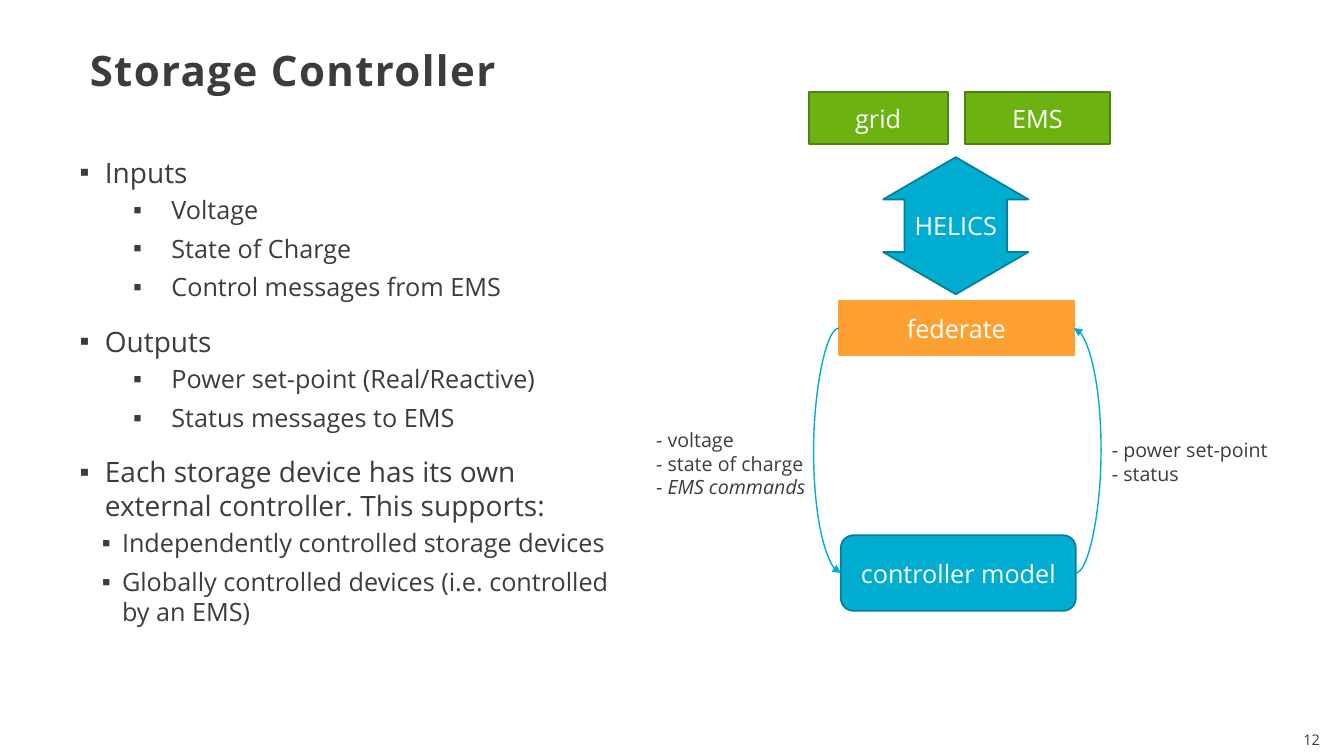
import pptx
import pptx.util
import pptx.dml.color
import pptx.enum.shapes
import pptx.enum.text
import pptx.oxml
import pptx.oxml.ns

Inches = pptx.util.Inches
Pt = pptx.util.Pt
SHAPE = pptx.enum.shapes.MSO_SHAPE
ALIGN = pptx.enum.text.PP_ALIGN
ANCHOR = pptx.enum.text.MSO_ANCHOR

COLORS = {
    "text": "3C3C3C",
    "white": "FFFFFF",
    "blue": "00ADD0",
    "blue_edge": "00809A",
    "orange": "FFA033",
    "green": "6CB312",
    "grid_edge": "50840D",
    "ems_edge": "4D830A",
}

LEFT_SITE, RIGHT_SITE = 1, 3

# Bullet styles: size, left indent, hanging indent, space before and after, level
TOP = (20, 0.25, 0.25, 12, 2, 0)
DETAIL = (18, 0.91, 0.38, 2, 4, 1)
SUPPORT = (18, 0.42, 0.2, 2, 4, 1)

BULLETS = [
    ("Inputs", TOP),
    ("Voltage", DETAIL),
    ("State of Charge", DETAIL),
    ("Control messages from EMS", DETAIL),
    ("Outputs", TOP),
    ("Power set-point (Real/Reactive)", DETAIL),
    ("Status messages to EMS", DETAIL),
    ("Each storage device has its own external controller. This supports:", TOP),
    ("Independently controlled storage devices", SUPPORT),
    ("Globally controlled devices (i.e. controlled by an EMS)", SUPPORT),
]


def rgb(name):
    return pptx.dml.color.RGBColor.from_string(COLORS[name])


def apply(target, values):
    for name, value in values.items():
        setattr(target, name, value)


def add_xml(parent, tag, **attributes):
    child = parent.makeelement(pptx.oxml.ns.qn(tag), attributes)
    parent.append(child)
    return child


def set_guides(sp, **ratios):
    """Write the adjustment values of a preset outline by name."""
    guides = sp._element.spPr.find(".//" + pptx.oxml.ns.qn("a:avLst"))
    for guide in list(guides):
        guides.remove(guide)
    for name, ratio in ratios.items():
        add_xml(guides, "a:gd", name=name, fmla=f"val {round(ratio * 100000)}")


class SlideBuilder:
    font = "Open Sans"

    def __init__(self, prs):
        self.slide = prs.slides.add_slide(prs.slide_layouts[5])
        self.shapes = self.slide.shapes

    def run(self, p, text, size, color="text", **font):
        r = p.add_run()
        r.text = text
        apply(r.font, {"name": self.font, "size": Pt(size), **font})
        r.font.color.rgb = rgb(color)
        return r

    def title(self, text, box):
        sp = self.shapes.title
        apply(sp, dict(zip(("left", "top", "width", "height"), map(Inches, box))))
        tf = sp.text_frame
        apply(tf, {"vertical_anchor": ANCHOR.MIDDLE, "word_wrap": True,
                   "auto_size": pptx.enum.text.MSO_AUTO_SIZE.NONE})
        p = tf.paragraphs[0]
        apply(p, {"alignment": ALIGN.LEFT, "line_spacing": 0.85})
        r = self.run(p, text, 30, bold=True)
        r.font._element.set("spc", "100")

    def text_box(self, box, lines, size, align=ALIGN.LEFT):
        """Each line is a list of (text, italic) pairs."""
        tf = self.shapes.add_textbox(*map(Inches, box)).text_frame
        tf.word_wrap = True
        for i, line in enumerate(lines):
            p = tf.add_paragraph() if i else tf.paragraphs[0]
            p.alignment = align
            for text, italic in line:
                self.run(p, text, size, italic=italic)

    def bullets(self, box, items):
        tf = self.shapes.add_textbox(*map(Inches, box)).text_frame
        apply(tf, {"word_wrap": True, "margin_left": 0, "margin_right": 0})
        for i, (text, style) in enumerate(items):
            size, indent, hanging, before, after, level = style
            p = tf.add_paragraph() if i else tf.paragraphs[0]
            apply(p, {"level": level, "space_before": Pt(before),
                      "space_after": Pt(after)})
            pPr = p._p.get_or_add_pPr()
            pPr.set("marL", str(Inches(indent)))
            pPr.set("indent", str(-Inches(hanging)))
            add_xml(pPr, "a:buFont", typeface="Arial")
            add_xml(pPr, "a:buChar", char="▪")
            self.run(p, text, size)

    def block(self, kind, box, text, fill, edge):
        sp = self.shapes.add_shape(kind, *map(Inches, box))
        sp.shadow.inherit = False
        sp.fill.solid()
        sp.fill.fore_color.rgb = rgb(fill)
        sp.line.color.rgb = rgb(edge)
        sp.line.width = Pt(1.25)
        tf = sp.text_frame
        apply(tf, {"vertical_anchor": ANCHOR.MIDDLE, "word_wrap": True,
                   "margin_left": 0, "margin_right": 0})
        p = tf.paragraphs[0]
        p.alignment = ALIGN.CENTER
        self.run(p, text, 18, "white")
        return sp

    def curve(self, start, end, site, bulge=0.25):
        """Join the same side of two blocks with an arrow that bows outward."""
        cxn = self.shapes.add_connector(
            pptx.enum.shapes.MSO_CONNECTOR.CURVE, 0, 0, 0, 0)
        cxn.begin_connect(start, site)
        cxn.end_connect(end, site)
        cxn.line.color.rgb = rgb("blue")
        cxn.line.width = Pt(1)
        spPr = cxn._element.spPr
        add_xml(spPr.find(pptx.oxml.ns.qn("a:ln")), "a:tailEnd", type="triangle")
        add_xml(spPr, "a:effectLst")
        set_guides(cxn, adj1=-Inches(bulge) / cxn.width)


def main():
    prs = pptx.Presentation()
    prs.slide_width, prs.slide_height = Inches(13.33), Inches(7.5)
    s = SlideBuilder(prs)

    s.title("Storage Controller", (0.79, 0.49, 10.89, 0.49))
    s.bullets((0.79, 1.49, 5.45, 5.14), BULLETS)

    model = s.block(SHAPE.ROUNDED_RECTANGLE, (8.34, 5.31, 2.33, 0.75),
                    "controller model", "blue", "blue_edge")
    federate = s.block(SHAPE.RECTANGLE, (8.32, 2.99, 2.33, 0.53),
                       "federate", "orange", "orange")
    helics = s.block(SHAPE.UP_DOWN_ARROW, (8.76, 1.56, 1.44, 1.36),
                     "HELICS", "blue", "blue_edge")
    set_guides(helics, adj1=0.707, adj2=0.308)
    s.block(SHAPE.RECTANGLE, (8.02, 0.91, 1.38, 0.52), "grid", "green", "grid_edge")
    s.block(SHAPE.RECTANGLE, (9.57, 0.91, 1.44, 0.52), "EMS", "green", "ems_edge")

    s.curve(federate, model, LEFT_SITE)
    s.curve(model, federate, RIGHT_SITE)

    s.text_box((6.41, 4.2, 2.36, 0.81),
               [[("- voltage", None)], [("- state of charge", None)],
                [("- ", None), ("EMS commands", True)]], 14)
    s.text_box((10.93, 4.3, 2.33, 0.57),
               [[("- power set-point", None)], [("- status", None)]], 14)
    s.text_box((12.5, 7.2, 0.69, 0.29), [[("12", None)]], 10.5, ALIGN.RIGHT)

    prs.save("out.pptx")


if __name__ == "__main__":
    main()
